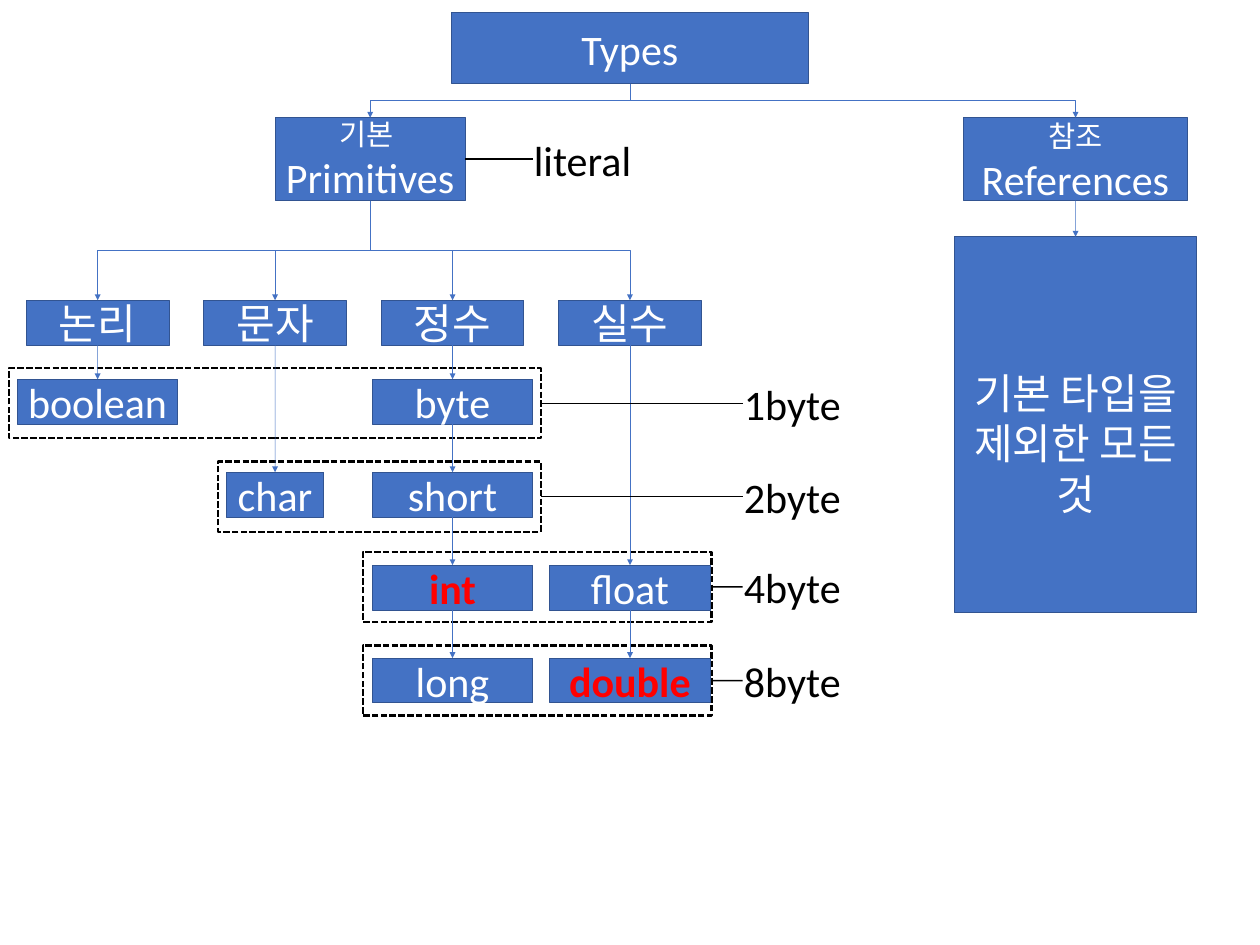
"""Build a tree of data types with their sizes in bytes."""
from dataclasses import dataclass

from pptx import Presentation
from pptx.dml.color import RGBColor
from pptx.enum.dml import MSO_LINE
from pptx.enum.shapes import MSO_CONNECTOR as Connector, MSO_SHAPE as Preset
from pptx.enum.text import MSO_ANCHOR as Anchor, PP_ALIGN as Align
from pptx.oxml import parse_xml
from pptx.oxml.ns import nsdecls
from pptx.util import Cm, Pt


@dataclass(frozen=True)
class Theme:
    font: str = "Calibri"
    large: float = 42.7
    small: float = 30
    blue: str = "4472C4"
    edge: str = "325491"
    white: str = "FFFFFF"
    black: str = "000000"
    red: str = "FF0000"


theme = Theme()
presentation = Presentation()
presentation.slide_width, presentation.slide_height = Cm(45.16), Cm(33.86)
slide = presentation.slides.add_slide(presentation.slide_layouts[6])


def add_box(center, top, width, height, lines=(), fill=theme.blue, edge=theme.edge, color=theme.white, bold=False):
    """Add a rectangle centred on a column, with one run for each line."""
    shape = slide.shapes.add_shape(Preset.RECTANGLE, Cm(center - width / 2), Cm(top), Cm(width), Cm(height))
    shape.shadow.inherit = False
    shape.fill.solid()
    shape.fill.fore_color.rgb = RGBColor.from_string(fill)
    shape.line.color.rgb = RGBColor.from_string(edge)
    shape.line.width = Pt(1)
    shape.text_frame.vertical_anchor = Anchor.MIDDLE
    paragraph = shape.text_frame.paragraphs[0]
    paragraph.alignment = Align.CENTER
    for index, (text, size) in enumerate(lines):
        if index:
            paragraph.add_line_break()
        run = paragraph.add_run()
        run.text = text
        run.font.name, run.font.size, run.font.bold = theme.font, Pt(size), bold
        run.font.color.rgb = RGBColor.from_string(color)
    return shape


def link(start, start_side, end, end_side, color=theme.blue, width=0.5, arrow=True):
    """Join two boxes, with an elbow when a downward link changes column."""
    shift = end.left + end.width // 2 - start.left - start.width // 2
    bent = arrow and abs(shift) > Cm(0.1)
    connector = slide.shapes.add_connector(Connector.ELBOW if bent else Connector.STRAIGHT, 0, 0, 0, 0)
    connector.begin_connect(start, start_side)
    connector.end_connect(end, end_side)
    properties = connector._element.spPr
    if bent:
        drop = end.top - start.top - start.height
        middle_x = start.left + start.width // 2 + shift // 2
        middle_y = end.top - drop // 2
        connector.left, connector.top = middle_x - drop // 2, middle_y - abs(shift) // 2
        connector.width, connector.height = drop, abs(shift)
        properties.xfrm.flipH, properties.xfrm.flipV = shift > 0, False
        properties.xfrm.set("rot", "16200000" if shift > 0 else "5400000")
    connector.line.color.rgb = RGBColor.from_string(color)
    connector.line.width = Pt(width)
    if arrow:
        connector.line._get_or_add_ln().append(parse_xml(f'<a:tailEnd {nsdecls("a")} type="triangle"/>'))
    properties.append(parse_xml(f'<a:effectLst {nsdecls("a")}/>'))


column_centers = [3.5 + 6.36 * index for index in range(4)]
row_tops = [13.59 + 3.33 * index for index in range(4)]
box_height = 1.61
frame_height = 2.51
label_width = 3.56

frames = []
for left, right, top in [(0.33, 19.38, 13.2), (7.82, 19.38, 16.54), (13, 25.5, 19.77), (13, 25.5, 23.13)]:
    frame = add_box((left + right) / 2, top, right - left, frame_height, fill=theme.white, edge=theme.black)
    frame.line.width = Pt(2.25)
    frame.line.dash_style = MSO_LINE.SQUARE_DOT
    frames.append((frame, top))

types = add_box(column_centers[3], 0.46, 12.77, 2.54, [("Types", theme.large)])
primitives = add_box(13.27, 4.22, 6.8, 2.97, [("기본 ", theme.small), ("Primitives", theme.large)])
references = add_box(38.55, 4.22, 8, 2.97, [("참조", theme.small), ("References", theme.large)])
references.text_frame.margin_bottom = 0
others = add_box(38.55, 8.48, 8.66, 13.46, [("기본 타입을 제외한 모든 것", theme.large)])
others.text_frame.margin_top = Cm(1.45)

link(types, 2, primitives, 0)
link(types, 2, references, 0)
link(references, 2, others, 0)

branches = [
    ("논리", 5.74, {"boolean": 0}),
    ("문자", 3.5, {"char": 1}),
    ("정수", 5.74, {"byte": 0, "short": 1, "int": 2, "long": 3}),
    ("실수", 5.74, {"float": 2, "double": 3}),
]
for center, (category, width, members) in zip(column_centers, branches):
    parent = add_box(center, 10.76, 5.12, box_height, [(category, theme.large)])
    link(primitives, 2, parent, 0)
    for name, row in members.items():
        default = name in ("int", "double")
        member = add_box(center, row_tops[row], width, box_height, [(name, theme.large)],
                         color=theme.red if default else theme.white, bold=default)
        link(parent, 2, member, 0)
        parent = member

label_rows = [("literal", 20.88, 4.9, primitives)]
for size, (frame, top) in zip((1, 2, 4, 8), frames):
    label_rows.append((f"{size}byte", 28.4, top + (frame_height - box_height) / 2, frame))
for text, center, top, target in label_rows:
    label = add_box(center, top, label_width, box_height, [(text, theme.large)],
                    fill=theme.white, edge=theme.white, color=theme.black)
    text_frame = label.text_frame
    text_frame.margin_left = text_frame.margin_right = text_frame.margin_top = text_frame.margin_bottom = 0
    link(label, 1, target, 3, color=theme.black, width=1.5, arrow=False)

presentation.save("out.pptx")
